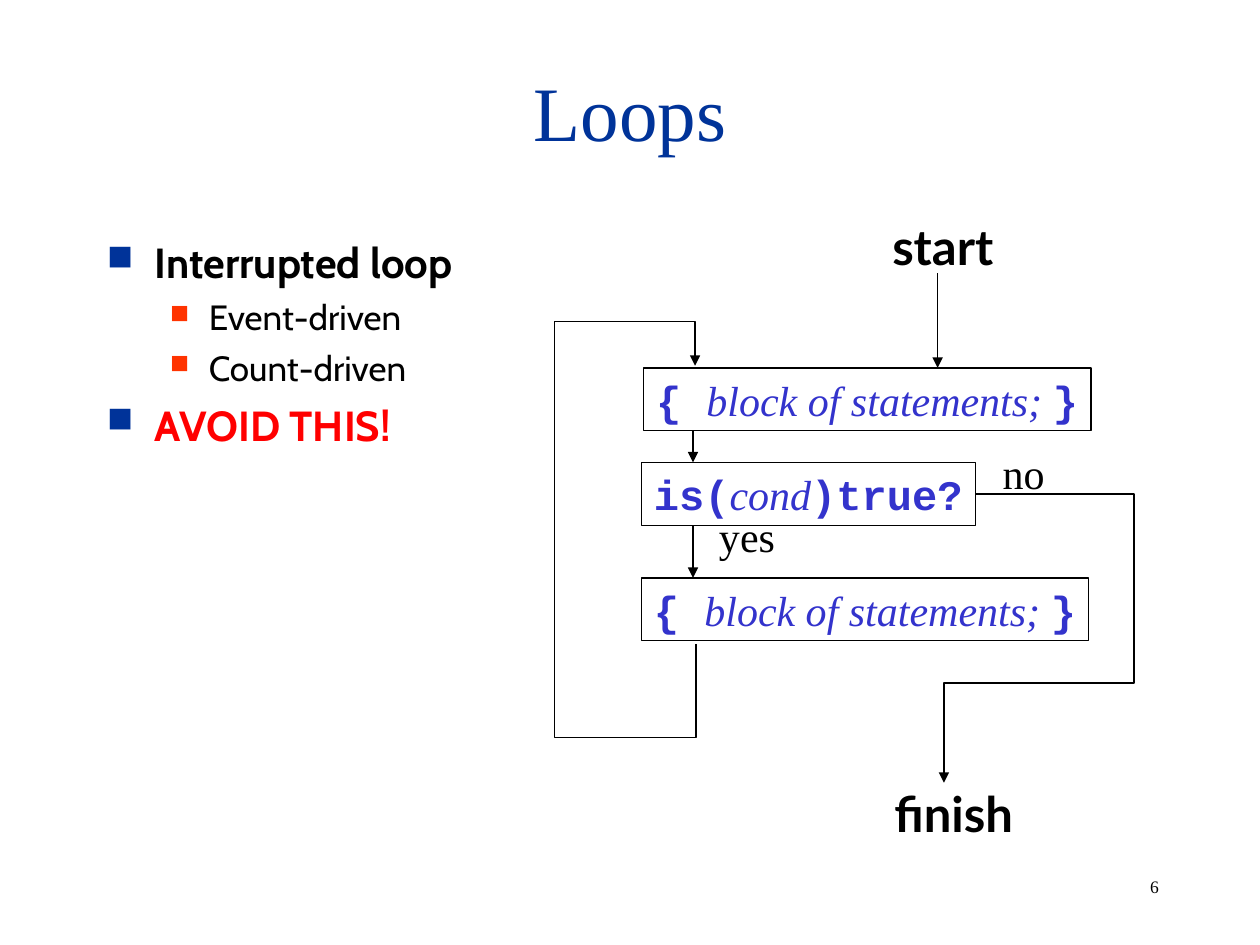
from pptx import Presentation
from pptx.dml.color import RGBColor
from pptx.enum.shapes import MSO_CONNECTOR, MSO_SHAPE
from pptx.enum.text import MSO_ANCHOR, PP_ALIGN
from pptx.oxml.ns import qn
from pptx.oxml.xmlchemy import OxmlElement
from pptx.util import Inches, Pt

RECTANGLE = MSO_SHAPE.RECTANGLE
STRAIGHT = MSO_CONNECTOR.STRAIGHT
CENTER = PP_ALIGN.CENTER
LEFT = PP_ALIGN.LEFT
TOP = MSO_ANCHOR.TOP
MIDDLE = MSO_ANCHOR.MIDDLE
TITLE_ONLY = 5

COLORS = {
    "title": "003399",
    "text": "000000",
    "code": "3333CC",
    "warning": "FF0000",
    "bullet": "003399",
    "sub_bullet": "FF3300",
}
SERIF = "Times New Roman"
MONO = "Courier New"
FLOW_ROWS = 61


def color(name):
    return RGBColor.from_string(COLORS[name])


def add_run(paragraph, text, size=24, font=SERIF, fill="text", bold=False, italic=False):
    run = paragraph.add_run()
    run.text = text
    run.font.size = Pt(size)
    run.font.name = font
    run.font.bold = bold
    run.font.italic = italic
    run.font.color.rgb = color(fill)


def prepare_frame(shape, anchor=TOP, right=0):
    frame = shape.text_frame
    frame.word_wrap = True
    frame.vertical_anchor = anchor
    frame.margin_left = Inches(0.1)
    frame.margin_right = Inches(right)
    frame.margin_top = frame.margin_bottom = Inches(0.05)
    return frame


def add_label(slide, box, text, **style):
    shape = slide.shapes.add_textbox(*box)
    add_run(prepare_frame(shape).paragraphs[0], text, **style)


def add_code_box(slide, box, parts):
    shape = slide.shapes.add_shape(RECTANGLE, *box)
    shape.shadow.inherit = False
    shape.fill.background()
    format_line(shape)
    paragraph = prepare_frame(shape).paragraphs[0]
    paragraph.alignment = LEFT
    for text, is_code in parts:
        add_run(paragraph, text, font=MONO if is_code else SERIF, fill="code",
                bold=is_code, italic=not is_code)


def format_line(shape, arrow=False):
    shape.line.color.rgb = color("text")
    shape.line.width = Pt(0.75)
    if arrow:
        tail = OxmlElement("a:tailEnd")
        tail.set("type", "triangle")
        shape.element.spPr.find(qn("a:ln")).append(tail)


def add_arrow(slide, start, end):
    connector = slide.shapes.add_connector(STRAIGHT, *start, *end)
    format_line(connector, arrow=True)
    connector.element.spPr.append(OxmlElement("a:effectLst"))


def add_bent_arrow(slide, points):
    builder = slide.shapes.build_freeform(*points[0], scale=1.0)
    builder.add_line_segments(points[1:], close=False)
    shape = builder.convert_to_shape()
    shape.shadow.inherit = False
    shape.fill.background()
    format_line(shape, arrow=True)


def set_bullet(paragraph, fill, share, margin, indent):
    properties = paragraph._p.get_or_add_pPr()
    properties.set("marL", str(Inches(margin)))
    properties.set("indent", str(-Inches(indent)))
    bullet_color = OxmlElement("a:buClr")
    value = OxmlElement("a:srgbClr")
    value.set("val", COLORS[fill])
    bullet_color.append(value)
    bullet_size = OxmlElement("a:buSzPct")
    bullet_size.set("val", str(share * 1000))
    bullet = OxmlElement("a:buChar")
    bullet.set("char", "■")
    for element in (bullet_color, bullet_size, bullet):
        properties.append(element)


def add_title(slide, box):
    title = slide.shapes.title
    title.left, title.top, title.width, title.height = box
    paragraph = prepare_frame(title, anchor=MIDDLE, right=0.1).paragraphs[0]
    paragraph.alignment = CENTER
    add_run(paragraph, "Loops", size=44, fill="title")


def add_bullets(slide, box):
    frame = prepare_frame(slide.shapes.add_textbox(*box))
    items = [
        ("Interrupted loop", 0, "text"),
        ("Event-driven", 1, "text"),
        ("Count-driven", 1, "text"),
        ("AVOID THIS!", 0, "warning"),
    ]
    for index, (text, level, fill) in enumerate(items):
        paragraph = frame.add_paragraph() if index else frame.paragraphs[0]
        paragraph.level = level
        paragraph.space_before = Pt(5 if level else 6)
        if level:
            set_bullet(paragraph, "sub_bullet", 75, 0.81, 0.31)
        else:
            set_bullet(paragraph, "bullet", 85, 0.38, 0.38)
        add_run(paragraph, text, size=20 if level else 24, font="Cabin",
                fill=fill, bold=not level)


def add_flowchart(slide, box):
    left, top, _, height = box
    cell = height / FLOW_ROWS

    def point(column, row):
        return round(left + column * cell), round(top + row * cell)

    def area(column, row, columns, rows):
        return *point(column, row), round(columns * cell), round(rows * cell)

    statements = [("{ ", True), ("block of statements; ", False), ("}", True)]
    condition = [("is(", True), ("cond", False), (")true?", True)]
    for column, row, columns, parts in [
        (8.5, 15, 42.6, statements),
        (8.3, 24, 31.8, condition),
        (8.3, 35, 42.6, statements),
    ]:
        add_code_box(slide, area(column, row, columns, 6), parts)

    for column, first, last in [(36.5, 6, 15), (13.2, 21, 24), (13.2, 30, 35)]:
        add_arrow(slide, point(column, first), point(column, last))

    back = [(13.5, 41.3), (13.5, 50.2), (0, 50.2), (0, 10.6), (13.4, 10.6), (13.4, 14.8)]
    leave = [(40.1, 27), (55.2, 27), (55.2, 45), (37.1, 45), (37.1, 54.5)]
    for route in (back, leave):
        add_bent_arrow(slide, [point(*corner) for corner in route])

    for text, column, row, columns in [("yes", 14.5, 28, 7.7), ("no", 41.5, 22, 6.4)]:
        add_label(slide, area(column, row, columns, 6), text)
    for text, column, row, columns in [("start", 31, 0, 13.7), ("finish", 31.2, 54, 15.5)]:
        add_label(slide, area(column, row, columns, 6.8), text, size=28,
                  font="Lato", bold=True)


def main():
    presentation = Presentation()
    presentation.slide_width = Inches(10)
    presentation.slide_height = Inches(7.5)
    slide = presentation.slides.add_slide(presentation.slide_layouts[TITLE_ONLY])

    add_title(slide, (Inches(0.75), Inches(0.25), Inches(8.5), Inches(1.25)))
    add_bullets(slide, (Inches(0.75), Inches(1.83), Inches(8.5), Inches(5.08)))
    add_flowchart(slide, (Inches(4.4), Inches(1.67), Inches(4.6), Inches(FLOW_ROWS / 12)))
    add_label(slide, (Inches(9.03), Inches(6.9), Inches(0.78), Inches(0.27)), "6", size=10)
    presentation.save("out.pptx")


if __name__ == "__main__":
    main()
